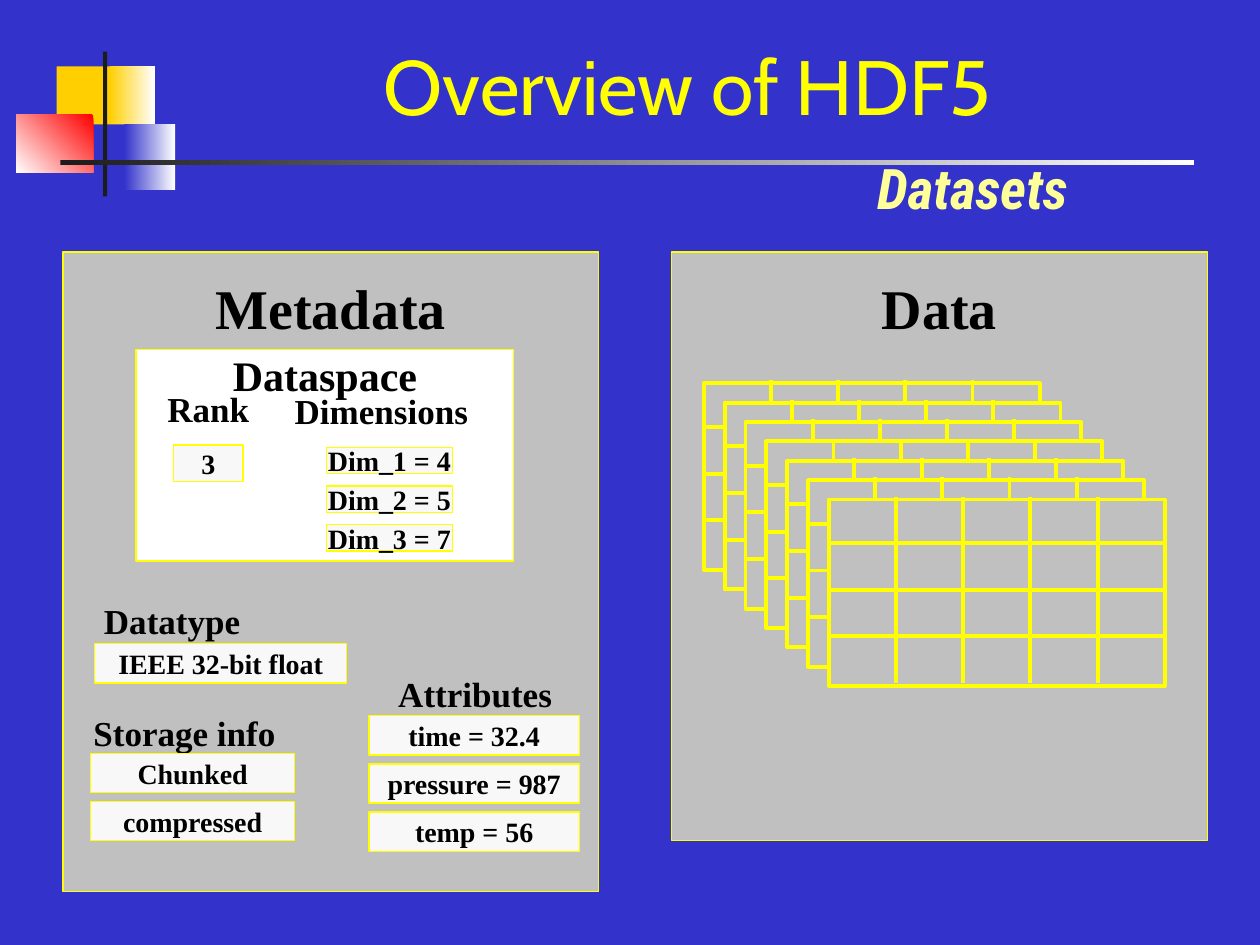
from dataclasses import dataclass
from typing import NamedTuple

from lxml.etree import SubElement
from pptx import Presentation
from pptx.dml.color import RGBColor
from pptx.enum.shapes import MSO_CONNECTOR, MSO_SHAPE
from pptx.enum.text import MSO_ANCHOR, PP_ALIGN
from pptx.oxml.ns import qn
from pptx.util import Cm, Pt


@dataclass(frozen=True)
class Theme:
    background: str = "3333CC"
    yellow: str = "FFFF00"
    pale_yellow: str = "FFFF99"
    gold: str = "FFCF01"
    red: str = "FF0000"
    white: str = "FFFFFF"
    dark: str = "1C1C1C"
    black: str = "000000"
    panel: str = "C0C0C0"
    value: str = "F8F8F8"
    title_font: str = "Cabin"
    subtitle_font: str = "Roboto Condensed"
    body_font: str = "Times New Roman"
    title_size: int = 44
    heading_size: int = 32
    subheading_size: int = 24
    label_size: int = 20
    value_size: int = 16
    border: float = 0.75
    grid_line: float = 2.25


THEME = Theme()


class Box(NamedTuple):
    """A rectangle in centimetres."""
    left: float
    top: float
    width: float
    height: float

    def inner(self, left, top, width, height):
        return Box(self.left + left, self.top + top, width, height)

    def lengths(self):
        return [Cm(value) for value in self]


def color(code):
    return RGBColor.from_string(code)


def style_font(font, name, size, code, bold=True, italic=False):
    font.name, font.size, font.color.rgb = name, Pt(size), color(code)
    font.bold, font.italic = bold, italic


def add_rectangle(slide, box, fill, line=None, line_width=THEME.border):
    shape = slide.shapes.add_shape(MSO_SHAPE.RECTANGLE, *box.lengths())
    shape.shadow.inherit = False
    shape.fill.solid()
    shape.fill.fore_color.rgb = color(fill)
    if line:
        shape.line.color.rgb = color(line)
        shape.line.width = Pt(line_width)
    else:
        shape.line.fill.background()
    return shape


def add_gradient(slide, box, start, end, angle=0):
    shape = add_rectangle(slide, box, start)
    shape.fill.gradient()
    shape.fill.gradient_angle = angle
    for stop, code in zip(shape.fill.gradient_stops, (start, end)):
        stop.color.rgb = color(code)


def add_line(slide, start_x, start_y, end_x, end_y):
    ends = [Cm(value) for value in (start_x, start_y, end_x, end_y)]
    connector = slide.shapes.add_connector(MSO_CONNECTOR.STRAIGHT, *ends)
    connector.line.color.rgb = color(THEME.yellow)
    connector.line.width = Pt(THEME.grid_line)
    SubElement(connector._element.spPr, qn("a:effectLst"))


def write(shape, text, size, anchor=MSO_ANCHOR.MIDDLE, top=0):
    """Centre one bold line of text in a shape, without wrapping."""
    frame = shape.text_frame
    frame.word_wrap = False
    frame.vertical_anchor = anchor
    frame.margin_left = frame.margin_right = frame.margin_bottom = 0
    frame.margin_top = Cm(top)
    paragraph = frame.paragraphs[0]
    paragraph.text = text
    paragraph.alignment = PP_ALIGN.CENTER
    style_font(paragraph.font, THEME.body_font, size, THEME.black)


def add_panel(slide, box, heading, size, fill=THEME.panel, top=0.43):
    panel = add_rectangle(slide, box, fill, THEME.yellow)
    write(panel, heading, size, MSO_ANCHOR.TOP, top)


def add_field(slide, label, label_box, values, first_box, step=0.97):
    """Place a label and a column of value boxes."""
    write(slide.shapes.add_textbox(*label_box.lengths()), label, THEME.label_size)
    for index, value in enumerate(values):
        box = first_box._replace(top=first_box.top + index * step)
        write(add_rectangle(slide, box, THEME.value, THEME.yellow), value, THEME.value_size)


def add_ornament(slide, box):
    """Place the overlapping squares with the crossing rules."""
    add_rectangle(slide, box.inner(0.81, 0.3, 1.22, 1.32), THEME.gold)
    add_gradient(slide, box.inner(1.88, 0.3, 0.91, 1.32), THEME.gold, THEME.white)
    add_rectangle(slide, box.inner(1.14, 1.47, 1.17, 1.32), THEME.background)
    add_gradient(slide, box.inner(2.18, 1.47, 1.02, 1.32), THEME.background, THEME.white)
    add_gradient(slide, box.inner(0, 1.27, 1.55, 1.17), THEME.red, THEME.white, 225)
    add_rectangle(slide, box.inner(1.75, 0, 0.08, box.height), THEME.dark)
    add_gradient(slide, box.inner(0.89, 2.18, 22.86, 0.1), THEME.dark, THEME.white)


def add_title(slide, box):
    frame = slide.shapes.add_textbox(*box.lengths()).text_frame
    frame.word_wrap = True
    frame.vertical_anchor = MSO_ANCHOR.BOTTOM
    title, subtitle = frame.paragraphs[0], frame.add_paragraph()
    title.text, subtitle.text = "Overview of HDF5", "Datasets"
    title.alignment = subtitle.alignment = PP_ALIGN.CENTER
    subtitle.space_before = Pt(12.5)
    subtitle._p.get_or_add_pPr().set("marL", str(Cm(11.48)))
    style_font(title.font, THEME.title_font, THEME.title_size, THEME.yellow, bold=False)
    style_font(subtitle.font, THEME.subtitle_font, THEME.heading_size,
               THEME.pale_yellow, italic=True)


def add_dataspace(slide, box):
    add_panel(slide, box, "Dataspace", THEME.subheading_size, THEME.white, top=0)
    add_field(slide, "Rank", box.inner(0.36, 0.76, 2.2, 0.86),
              ["3"], box.inner(0.76, 1.93, 1.4, 0.74))
    add_field(slide, "Dimensions", box.inner(2.6, 0.81, 4.7, 0.86),
              ["Dim_1 = 4", "Dim_2 = 5", "Dim_3 = 7"],
              box.inner(3.84, 1.98, 2.54, 0.53), step=0.78)


def add_metadata(slide, box):
    add_panel(slide, box, "Metadata", THEME.heading_size)
    add_dataspace(slide, box.inner(1.47, 1.96, 7.62, 4.27))
    add_field(slide, "Datatype", box.inner(0.3, 6.99, 3.8, 0.86),
              ["IEEE 32-bit float"], box.inner(0.64, 7.9, 5.08, 0.79))
    add_field(slide, "Attributes", box.inner(6.21, 8.48, 4.2, 0.86),
              ["time = 32.4", "pressure = 987", "temp = 56"],
              box.inner(6.17, 9.35, 4.24, 0.79))
    add_field(slide, "Storage info", box.inner(0.1, 9.25, 4.7, 0.86),
              ["Chunked", "compressed"], box.inner(0.56, 10.11, 4.11, 0.79))


def add_grid(slide, box, rows=4, columns=5):
    """Place one layer, its inner lines set slightly above the frame."""
    add_rectangle(slide, box, THEME.panel, THEME.yellow, THEME.grid_line)
    left, top, width, height = box._replace(top=box.top - 0.06)
    for row in range(1, rows):
        y = top + row * height / rows
        add_line(slide, left, y, left + width, y)
    for column in range(1, columns):
        x = left + column * width / columns
        add_line(slide, x, top, x, top + height)


def add_data(slide, box, layers=7):
    add_panel(slide, box, "Data", THEME.heading_size)
    for layer in range(layers):
        add_grid(slide, box.inner(0.65 + layer * 0.42, 2.65 + layer * 0.39, 6.77, 3.76))


def main():
    presentation = Presentation()
    presentation.slide_width, presentation.slide_height = Cm(25.4), Cm(19.05)
    slide = presentation.slides.add_slide(presentation.slide_layouts[6])
    slide.background.fill.solid()
    slide.background.fill.fore_color.rgb = color(THEME.background)
    add_ornament(slide, Box(0.33, 1.04, 23.75, 2.92))
    add_title(slide, Box(2.97, 1.91, 21.79, 2.66))
    add_data(slide, Box(13.54, 5.08, 10.8, 11.86))
    add_metadata(slide, Box(1.27, 5.08, 10.8, 12.9))
    presentation.save("out.pptx")


if __name__ == "__main__":
    main()
